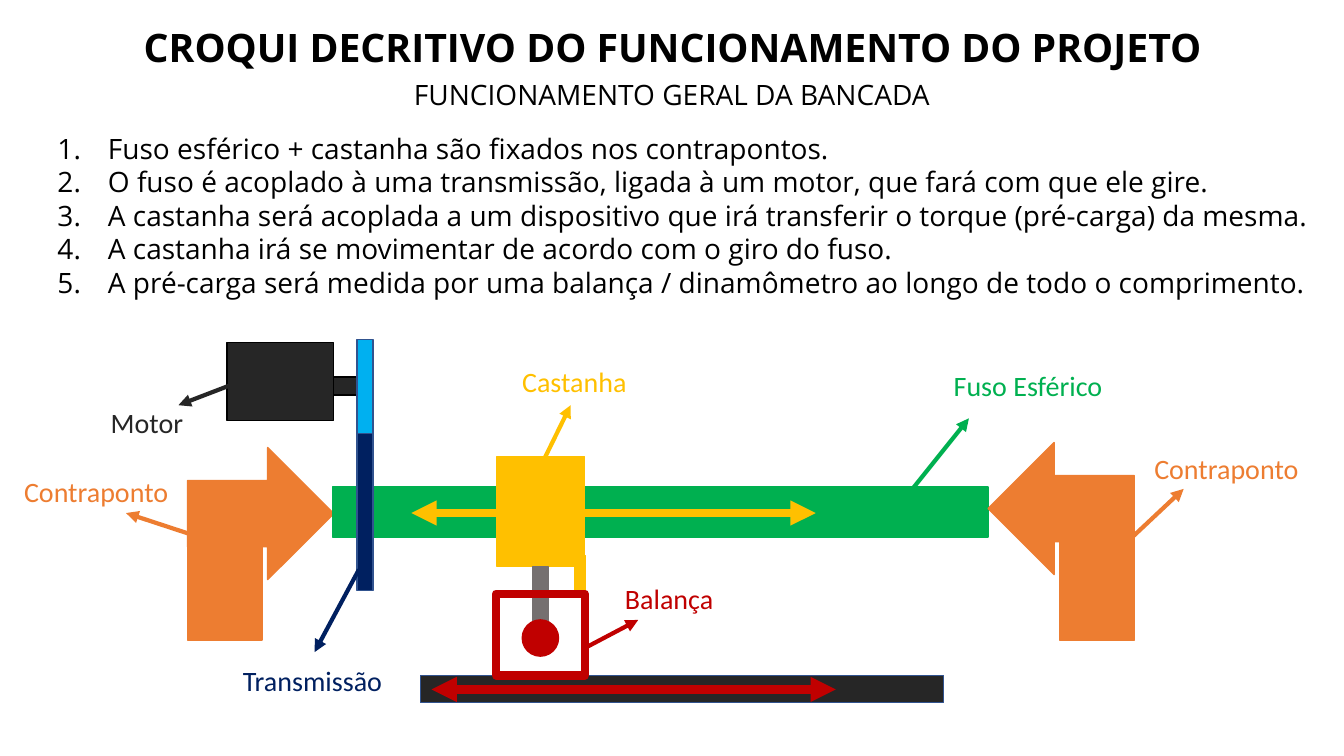
from lxml.etree import SubElement
from pptx import Presentation
from pptx.dml.color import RGBColor
from pptx.enum.shapes import MSO_CONNECTOR, MSO_SHAPE
from pptx.enum.text import MSO_ANCHOR, MSO_AUTO_SIZE, PP_ALIGN
from pptx.oxml.ns import qn
from pptx.util import Inches, Pt

BLACK = RGBColor(0x00, 0x00, 0x00)
DARK = RGBColor(0x26, 0x26, 0x26)
GRAY = RGBColor(0x75, 0x70, 0x70)
ORANGE = RGBColor(0xED, 0x7D, 0x31)
GREEN = RGBColor(0x00, 0xB0, 0x50)
YELLOW = RGBColor(0xFF, 0xC0, 0x00)
RED = RGBColor(0xC0, 0x00, 0x00)
NAVY = RGBColor(0x00, 0x20, 0x60)
SKY = RGBColor(0x00, 0xB0, 0xF0)
EDGE = RGBColor(0x31, 0x53, 0x8F)

TITLE = "CROQUI DECRITIVO DO FUNCIONAMENTO DO PROJETO"
SUBTITLE = "FUNCIONAMENTO GERAL DA BANCADA"
STEPS = [
    "Fuso esférico + castanha são fixados nos contrapontos.",
    "O fuso é acoplado à uma transmissão, ligada à um motor, que fará com que ele gire.",
    "A castanha será acoplada a um dispositivo que irá transferir o torque (pré-carga) da mesma.",
    "A castanha irá se movimentar de acordo com o giro do fuso.",
    "A pré-carga será medida por uma balança / dinamômetro ao longo de todo o comprimento.",
]

RECT, OVAL, ARROW = MSO_SHAPE.RECTANGLE, MSO_SHAPE.OVAL, MSO_SHAPE.RIGHT_ARROW
# Back to front: preset, (left, top, width, height), fill, line, line width, rotation
PARTS = [
    (RECT, (3.3, 3.74, 0.4, 0.18), DARK, BLACK, 1, 0),
    (RECT, (1.86, 5.25, 0.74, 1.1), ORANGE, ORANGE, 1, 0),
    (ARROW, (1.86, 4.44, 1.45, 1.31), ORANGE, ORANGE, 1, 0),
    (RECT, (3.3, 4.83, 6.5, 0.5), GREEN, GREEN, 1, 0),
    (RECT, (4.93, 4.53, 0.87, 1.09), YELLOW, YELLOW, 1, 0),
    (RECT, (10.51, 5.25, 0.74, 1.1), ORANGE, ORANGE, 1, 0),
    (ARROW, (9.8, 4.39, 1.45, 1.31), ORANGE, ORANGE, 1, 180),
    (RECT, (3.54, 4.22, 0.16, 1.64), NAVY, EDGE, 1, 0),
    (RECT, (3.54, 3.37, 0.16, 0.93), SKY, EDGE, 1, 0),
    (RECT, (2.25, 3.4, 1.06, 0.77), DARK, BLACK, 1, 0),
    (RECT, (5.28, 5.62, 0.16, 0.77), GRAY, GRAY, 1, 0),
    (OVAL, (5.18, 6.15, 0.36, 0.36), RED, RED, 1, 0),
    (RECT, (4.17, 6.7, 5.19, 0.27), DARK, EDGE, 1, 0),
    (RECT, (5.7, 5.51, 0.11, 0.38), YELLOW, YELLOW, 1, 0),
    (RECT, (4.92, 5.89, 0.88, 0.81), None, RED, 6, 0),
]
# Travel arrows: start, end, colour
TRAVELS = [((4.08, 5.09), (8.09, 5.09), YELLOW), ((4.28, 6.84), (8.29, 6.84), RED)]
# Text, (left, top, width), colour, pointer start, pointer end
LABELS = [
    ("Fuso Esférico", (9.36, 3.61, 1.69), GREEN, (9.05, 4.85), (9.61, 4.15)),
    ("Transmissão", (2.31, 6.53, 1.6), NAVY, (3.56, 5.65), (3.12, 6.47)),
    ("Castanha", (5.08, 3.57, 1.25), YELLOW, (5.39, 4.57), (5.66, 4.02)),
    ("Balança", (6.1, 5.72, 1.09), RED, (5.78, 6.44), (6.33, 6.15)),
    ("Motor", (1, 3.97, 0.93), DARK, (2.29, 3.82), (1.77, 4.02)),
    ("Contraponto", (0.14, 4.66, 1.64), ORANGE, (1.92, 5.31), (1.25, 5.09)),
    ("Contraponto", (11.35, 4.43, 1.64), ORANGE, (11.24, 5.32), (11.74, 4.85)),
]
LABEL_HEIGHT = 0.44


def place(sp, left, top, width, height):
    sp.left, sp.top, sp.width, sp.height = map(Inches, (left, top, width, height))


def write(sp, text, color, size=20, font="Open Sans", bold=False, align=PP_ALIGN.LEFT, wrap=True):
    tf = sp.text_frame
    tf.text = text
    tf.word_wrap = wrap
    tf.auto_size = MSO_AUTO_SIZE.NONE
    tf.vertical_anchor = MSO_ANCHOR.TOP
    for p in tf.paragraphs:
        p.alignment = align
        p.space_before = Pt(0)
        for r in p.runs:
            r.font.name, r.font.size, r.font.bold = font, Pt(size), bold
            r.font.color.rgb = color


def number(p):
    pPr = p._p.get_or_add_pPr()
    pPr.set("marL", str(Inches(0.5)))
    pPr.set("indent", str(-Inches(0.5)))
    SubElement(pPr, qn("a:buFont"), typeface="+mj-lt")
    SubElement(pPr, qn("a:buAutoNum"), type="arabicPeriod")


def add_part(shapes, preset, box, fill, line, weight, rotation):
    sp = shapes.add_shape(preset, *map(Inches, box))
    sp.shadow.inherit = False
    sp.rotation = rotation
    if fill is None:
        sp.fill.background()
    else:
        sp.fill.solid()
        sp.fill.fore_color.rgb = fill
    sp.line.color.rgb = line
    sp.line.width = Pt(weight)


def add_arrow(shapes, start, end, color, weight, heads):
    cxn = shapes.add_connector(MSO_CONNECTOR.STRAIGHT, *map(Inches, start + end))
    cxn.line.color.rgb = color
    cxn.line.width = Pt(weight)
    ln = cxn.line._get_or_add_ln()
    for head in heads:
        SubElement(ln, qn(head), type="triangle")
    SubElement(cxn._element.spPr, qn("a:effectLst"))


def main():
    prs = Presentation()
    prs.slide_width, prs.slide_height = Inches(13.33), Inches(7.5)
    s = prs.slides.add_slide(prs.slide_layouts[1])
    shapes = s.shapes

    title, steps = s.placeholders
    place(title, 1.26, 0.18, 10.82, 0.57)
    write(title, TITLE, BLACK, size=28, bold=True, align=PP_ALIGN.CENTER)
    place(steps, 0.47, 1.25, 12.73, 1.78)
    write(steps, "\n".join(STEPS), BLACK)
    for p in steps.text_frame.paragraphs:
        number(p)
    subtitle = shapes.add_textbox(*map(Inches, (3.97, 0.72, 5.39, 0.44)))
    write(subtitle, SUBTITLE, BLACK, align=PP_ALIGN.CENTER)

    for part in PARTS:
        add_part(shapes, *part)
    for start, end, color in TRAVELS:
        add_arrow(shapes, start, end, color, 6, ["a:headEnd", "a:tailEnd"])
    for text, spot, color, start, end in LABELS:
        add_arrow(shapes, start, end, color, 3, ["a:tailEnd"])
        label = shapes.add_textbox(*map(Inches, spot + (LABEL_HEIGHT,)))
        write(label, text, color, font="Calibri", wrap=False)

    prs.save("out.pptx")


if __name__ == "__main__":
    main()
